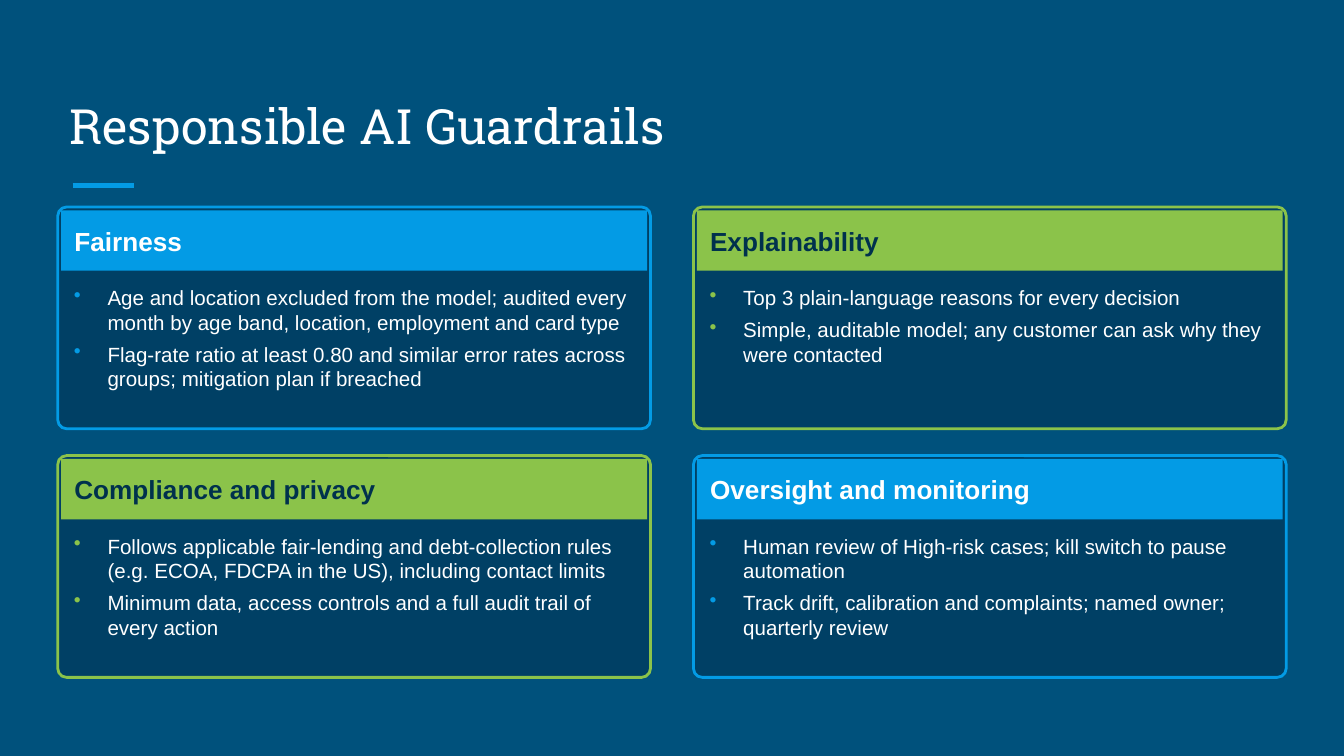
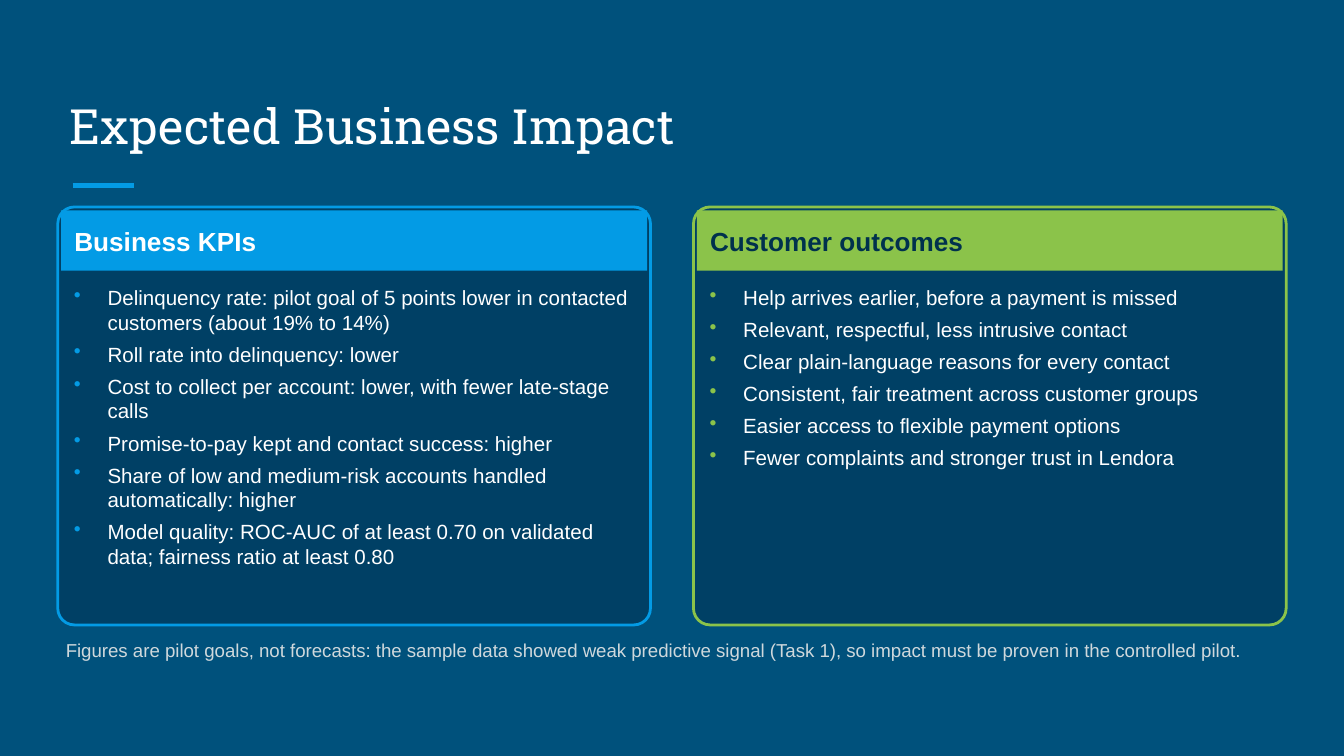
from dataclasses import dataclass

from lxml.etree import SubElement
from pptx import Presentation
from pptx.dml.color import RGBColor
from pptx.enum.shapes import MSO_CONNECTOR, MSO_SHAPE
from pptx.enum.text import MSO_ANCHOR, MSO_AUTO_SIZE, PP_ALIGN
from pptx.oxml.ns import qn
from pptx.util import Inches, Pt


@dataclass(frozen=True)
class Theme:
    background: str = "00517C"
    card: str = "004065"
    blue: str = "039BE5"
    green: str = "8BC34A"
    white: str = "FFFFFF"
    navy: str = "00314D"
    muted: str = "CFD8DC"
    title_font: str = "Roboto Slab"
    body_font: str = "Arial"
    title_size: int = 26
    heading_size: int = 14
    body_size: int = 11
    note_size: int = 10


theme = Theme()
accents = [(theme.blue, theme.white), (theme.green, theme.navy)]

card_left, card_top = 0.43, 1.54
card_width, column_step, row_step = 4.41, 4.73, 1.85
header_width, header_height = 4.36, 0.45
body_width, body_offset = 4.29, 0.55

slides = [
    {
        "title": "Responsible AI Guardrails",
        "card_height": 1.65,
        "cards": [
            ("Fairness", [
                "Age and location excluded from the model; audited every month by age band, location, employment and card type",
                "Flag-rate ratio at least 0.80 and similar error rates across groups; mitigation plan if breached",
            ]),
            ("Explainability", [
                "Top 3 plain-language reasons for every decision",
                "Simple, auditable model; any customer can ask why they were contacted",
            ]),
            ("Compliance and privacy", [
                "Follows applicable fair-lending and debt-collection rules (e.g. ECOA, FDCPA in the US), including contact limits",
                "Minimum data, access controls and a full audit trail of every action",
            ]),
            ("Oversight and monitoring", [
                "Human review of High-risk cases; kill switch to pause automation",
                "Track drift, calibration and complaints; named owner; quarterly review",
            ]),
        ],
        "note": None,
    },
    {
        "title": "Expected Business Impact",
        "card_height": 3.11,
        "cards": [
            ("Business KPIs", [
                "Delinquency rate: pilot goal of 5 points lower in contacted customers (about 19% to 14%)",
                "Roll rate into delinquency: lower",
                "Cost to collect per account: lower, with fewer late-stage calls",
                "Promise-to-pay kept and contact success: higher",
                "Share of low and medium-risk accounts handled automatically: higher",
                "Model quality: ROC-AUC of at least 0.70 on validated data; fairness ratio at least 0.80",
            ]),
            ("Customer outcomes", [
                "Help arrives earlier, before a payment is missed",
                "Relevant, respectful, less intrusive contact",
                "Clear plain-language reasons for every contact",
                "Consistent, fair treatment across customer groups",
                "Easier access to flexible payment options",
                "Fewer complaints and stronger trust in Lendora",
            ]),
        ],
        "note": "Figures are pilot goals, not forecasts: the sample data showed weak predictive signal (Task 1), so impact must be proven in the controlled pilot.",
    },
]


def write_text(box, lines, *, size, color, font=theme.body_font, bold=False,
               anchor=MSO_ANCHOR.TOP, margins=(0.06, 0.03), grow=False,
               bullet=None, space_after=0):
    frame = box.text_frame
    frame.word_wrap = True
    frame.vertical_anchor = anchor
    frame.auto_size = MSO_AUTO_SIZE.SHAPE_TO_FIT_TEXT if grow else MSO_AUTO_SIZE.NONE
    frame.margin_left = frame.margin_right = Inches(margins[0])
    frame.margin_top = frame.margin_bottom = Inches(margins[1])
    for index, line in enumerate(lines):
        para = frame.paragraphs[0] if index == 0 else frame.add_paragraph()
        para.alignment = PP_ALIGN.LEFT
        para.space_after = Pt(space_after)
        if bullet:
            properties = para._p.get_or_add_pPr()
            properties.set("marL", str(Inches(0.25)))
            properties.set("indent", str(-Inches(0.25)))
            bullet_color = SubElement(properties, qn("a:buClr"))
            SubElement(bullet_color, qn("a:srgbClr")).set("val", bullet)
            SubElement(properties, qn("a:buChar")).set("char", "•")
        span = para.add_run()
        span.text = line
        span.font.name = font
        span.font.size = Pt(size)
        span.font.bold = bold
        span.font.color.rgb = RGBColor.from_string(color)


def add_panel(page, kind, left, top, width, height, fill, outline=None):
    panel = page.shapes.add_shape(kind, Inches(left), Inches(top), Inches(width), Inches(height))
    panel.shadow.inherit = False
    panel.fill.solid()
    panel.fill.fore_color.rgb = RGBColor.from_string(fill)
    if outline:
        panel.line.color.rgb = RGBColor.from_string(outline)
        panel.line.width = Pt(1.5)
    else:
        panel.line.fill.background()
    return panel


deck = Presentation()
deck.slide_width = Inches(10)
deck.slide_height = Inches(10 * 9 / 16)

for content in slides:
    page = deck.slides.add_slide(deck.slide_layouts[6])
    page.background.fill.solid()
    page.background.fill.fore_color.rgb = RGBColor.from_string(theme.background)

    rule = page.shapes.add_connector(
        MSO_CONNECTOR.STRAIGHT, Inches(0.54), Inches(1.38), Inches(1), Inches(1.38))
    rule.line.color.rgb = RGBColor.from_string(theme.blue)
    rule.line.width = Pt(3)
    SubElement(rule._element.spPr, qn("a:effectLst"))

    title = page.shapes.add_textbox(Inches(0.42), Inches(0.5), Inches(9.15), Inches(0.75))
    write_text(title, [content["title"]], size=theme.title_size, color=theme.white,
               font=theme.title_font, anchor=MSO_ANCHOR.BOTTOM, margins=(0.1, 0.1))

    height = content["card_height"]
    for index, (heading, points) in enumerate(content["cards"]):
        row, column = divmod(index, 2)
        accent, heading_color = accents[(row + column) % 2]
        left = card_left + column * column_step
        top = card_top + row * row_step

        card = add_panel(page, MSO_SHAPE.ROUNDED_RECTANGLE, left, top, card_width, height,
                         theme.card, accent)
        card.adjustments[0] = 0.04

        inset = (card_width - header_width) / 2
        header = add_panel(page, MSO_SHAPE.RECTANGLE, left + inset, top + inset,
                           header_width, header_height, accent)
        write_text(header, [heading], size=theme.heading_size, color=heading_color, bold=True,
                   anchor=MSO_ANCHOR.MIDDLE, margins=(0.1, 0.05))

        inset = (card_width - body_width) / 2
        body = page.shapes.add_textbox(
            Inches(left + inset), Inches(top + body_offset),
            Inches(body_width), Inches(height - body_offset - inset))
        write_text(body, points, size=theme.body_size, color=theme.white, grow=True,
                   bullet=accent, space_after=4)

    if content["note"]:
        note = page.shapes.add_textbox(Inches(0.43), Inches(4.72), Inches(9.13), Inches(0.47))
        write_text(note, [content["note"]], size=theme.note_size, color=theme.muted,
                   grow=True, space_after=3)

deck.save("out.pptx")
